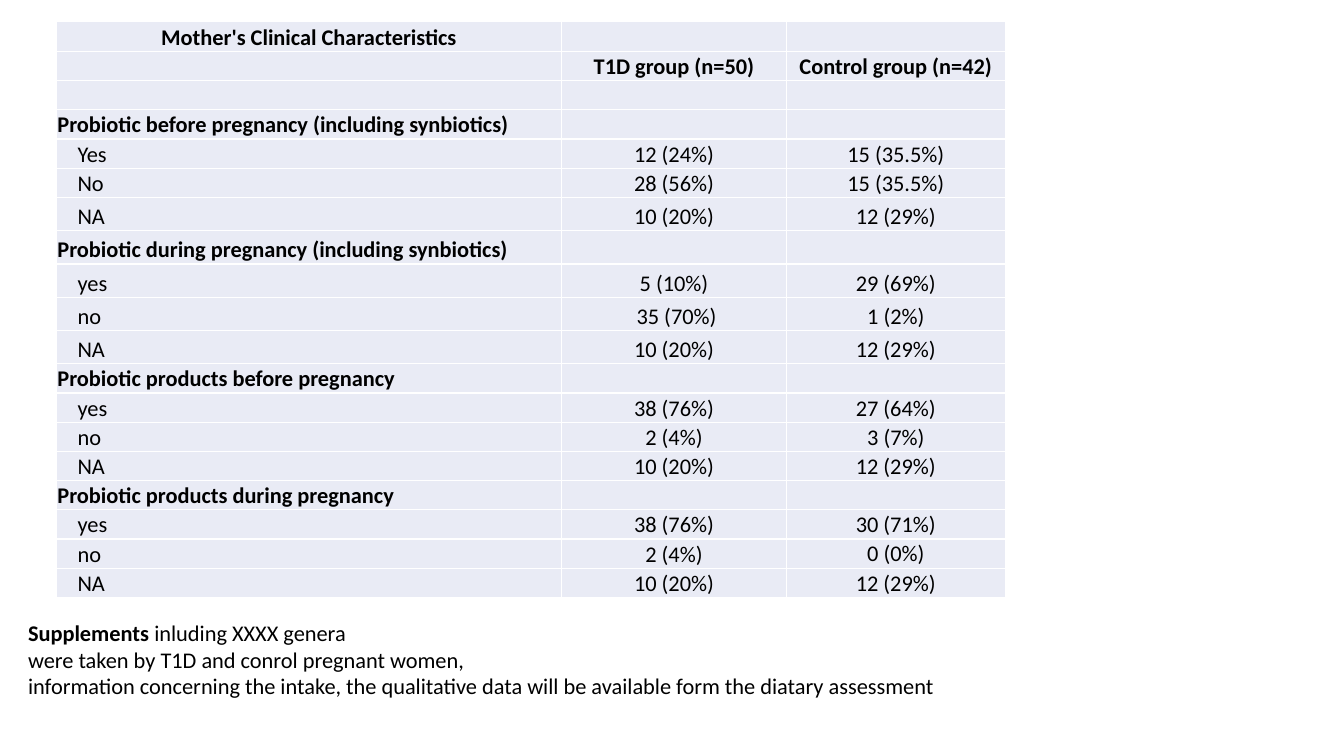
from dataclasses import dataclass

from lxml.etree import SubElement
from pptx import Presentation
from pptx.dml.color import RGBColor
from pptx.enum.text import MSO_ANCHOR, PP_ALIGN
from pptx.oxml.ns import qn
from pptx.util import Inches, Pt


@dataclass(frozen=True)
class Theme:
    font: str = "Calibri"
    size: int = 16
    text: str = "000000"
    cell: str = "E9EBF5"
    border: str = "FFFFFF"
    border_width: int = 1


theme = Theme()


def style_font(paragraph, bold):
    paragraph.font.name = theme.font
    paragraph.font.size = Pt(theme.size)
    paragraph.font.color.rgb = RGBColor.from_string(theme.text)
    paragraph.font.bold = bold


def add_borders(cell):
    properties = cell._tc.get_or_add_tcPr()
    for position, side in enumerate(("a:lnL", "a:lnR", "a:lnT", "a:lnB")):
        line = properties.makeelement(qn(side), {"w": str(Pt(theme.border_width))})
        fill = SubElement(line, qn("a:solidFill"))
        SubElement(fill, qn("a:srgbClr"), val=theme.border)
        properties.insert(position, line)


headings = [
    ("Mother's Clinical Characteristics", "", ""),
    ("", "T1D group (n=50)", "Control group (n=42)"),
    ("", "", ""),
]
sections = {
    "Probiotic before pregnancy (including synbiotics)": [
        ("Yes", "12 (24%)", "15 (35.5%)"),
        ("No", "28 (56%)", "15 (35.5%)"),
        ("NA", "10 (20%)", "12 (29%)"),
    ],
    "Probiotic during pregnancy (including synbiotics)": [
        ("yes", "5 (10%)", "29 (69%)"),
        ("no", " 35 (70%)", "1 (2%)"),
        ("NA", "10 (20%)", "12 (29%)"),
    ],
    "Probiotic products before pregnancy": [
        ("yes", "38 (76%)", "27 (64%)"),
        ("no", "2 (4%)", "3 (7%)"),
        ("NA", "10 (20%)", "12 (29%)"),
    ],
    "Probiotic products during pregnancy": [
        ("yes", "38 (76%)", "30 (71%)"),
        ("no", "2 (4%)", "0 (0%)"),
        ("NA", "10 (20%)", "12 (29%)"),
    ],
}
rows = list(headings)
for title, answers in sections.items():
    rows += [(title, "", ""), *answers]

column_widths = [5.01, 2.23, 2.17]
row_heights = [0.3] + [0.29] * 5 + [0.33] * 5 + [0.29] * 8

presentation = Presentation()
presentation.slide_width = Inches(13.33)
presentation.slide_height = Inches(7.5)
slide = presentation.slides.add_slide(presentation.slide_layouts[6])

table = slide.shapes.add_table(
    len(rows), len(column_widths), Inches(0.56), Inches(0.21),
    Inches(sum(column_widths)), Inches(sum(row_heights)),
).table
table.horz_banding = False
for column, width in zip(table.columns, column_widths):
    column.width = Inches(width)
for row, height in zip(table.rows, row_heights):
    row.height = Inches(height)

for row_index, values in enumerate(rows):
    is_heading = row_index < len(headings)
    is_section = values[0] in sections
    for column_index, value in enumerate(values):
        cell = table.cell(row_index, column_index)
        is_answer = column_index == 0 and not is_heading and not is_section
        cell.margin_left = Inches(0.21 if is_answer else 0.01)
        cell.margin_right = cell.margin_top = Inches(0.01)
        cell.margin_bottom = 0
        cell.vertical_anchor = MSO_ANCHOR.MIDDLE if value == "0 (0%)" else MSO_ANCHOR.BOTTOM
        cell.fill.solid()
        cell.fill.fore_color.rgb = RGBColor.from_string(theme.cell)
        add_borders(cell)
        paragraph = cell.text_frame.paragraphs[0]
        centred = is_heading or column_index > 0
        paragraph.alignment = PP_ALIGN.CENTER if centred else PP_ALIGN.LEFT
        style_font(paragraph, is_heading or is_section)
        if value:
            paragraph.add_run().text = value
        else:
            SubElement(paragraph._p, qn("a:endParaRPr"), sz=str(theme.size * 100))

note_lines = [
    [("Supplements ", True), ("inluding XXXX genera", False)],
    [("were taken by T1D and conrol pregnant women,", False)],
    [("information concerning the intake, the qualitative data will be available "
      "form the diatary assessment", False)],
]
note = slide.shapes.add_textbox(Inches(0.18), Inches(6.09), Inches(12.93), Inches(0.91))
note.text_frame.word_wrap = True
for index, line in enumerate(note_lines):
    paragraph = note.text_frame.paragraphs[0] if index == 0 else note.text_frame.add_paragraph()
    style_font(paragraph, False)
    for text, bold in line:
        run = paragraph.add_run()
        run.text = text
        if bold:
            run.font.bold = True

presentation.save("out.pptx")
